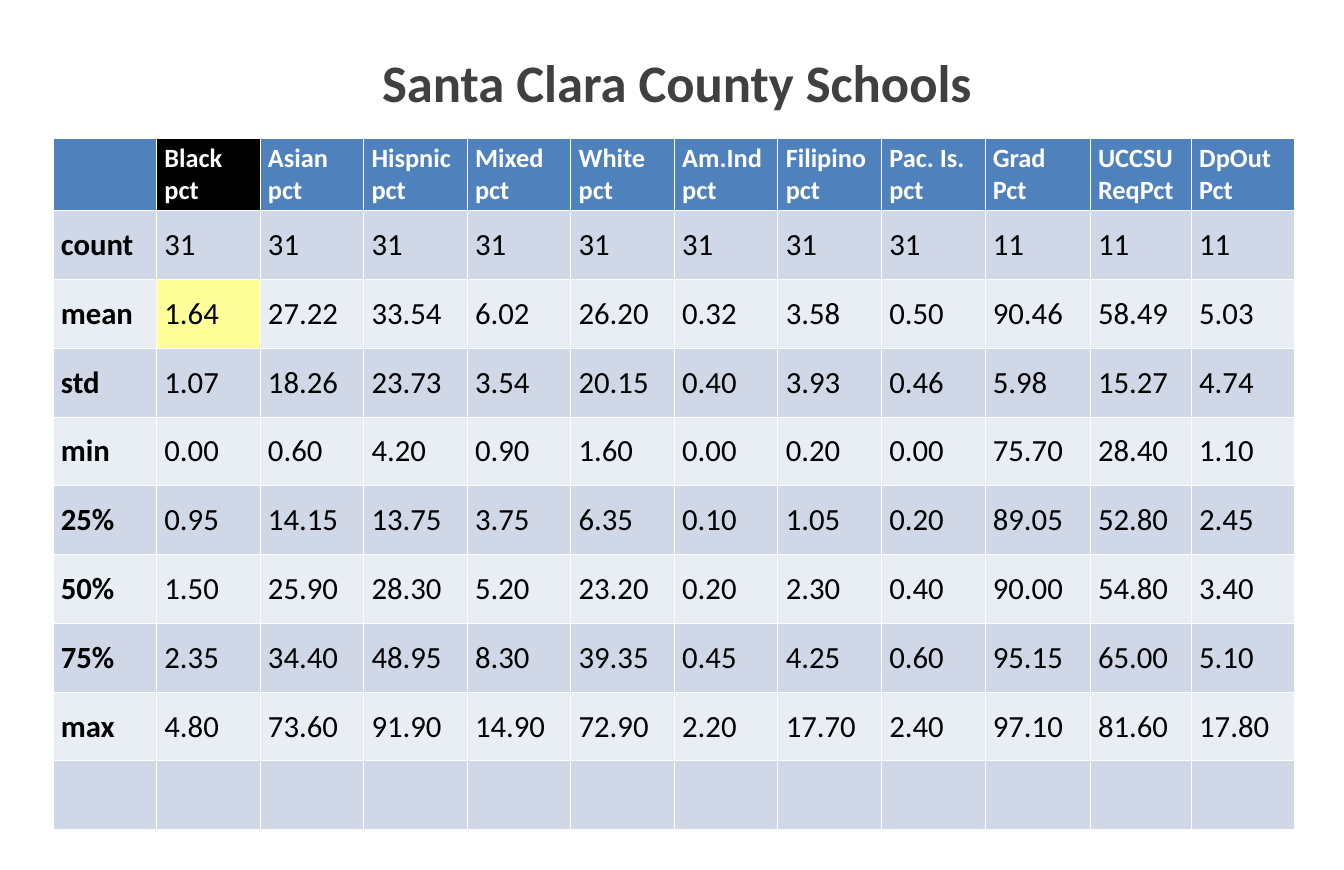
from dataclasses import dataclass

from pptx import Presentation
from pptx.dml.color import RGBColor
from pptx.enum.text import MSO_ANCHOR, PP_ALIGN
from pptx.util import Inches, Pt

MIDDLE = MSO_ANCHOR.MIDDLE
LEFT, CENTER = PP_ALIGN.LEFT, PP_ALIGN.CENTER

# Content
TITLE = "Santa Clara County Schools"
MEASURES = [
    ("Black", "pct"), ("Asian", "pct"), ("Hispnic", "pct"), ("Mixed", "pct"),
    ("White", "pct"), ("Am.Ind", "pct"), ("Filipino", "pct"), ("Pac. Is.", "pct"),
    ("Grad", "Pct"), ("UCCSU", "ReqPct"), ("DpOut", "Pct"),
]
STATISTICS = {
    "count": [31, 31, 31, 31, 31, 31, 31, 31, 11, 11, 11],
    "mean": [1.64, 27.22, 33.54, 6.02, 26.20, 0.32, 3.58, 0.50, 90.46, 58.49, 5.03],
    "std": [1.07, 18.26, 23.73, 3.54, 20.15, 0.40, 3.93, 0.46, 5.98, 15.27, 4.74],
    "min": [0.00, 0.60, 4.20, 0.90, 1.60, 0.00, 0.20, 0.00, 75.70, 28.40, 1.10],
    "25%": [0.95, 14.15, 13.75, 3.75, 6.35, 0.10, 1.05, 0.20, 89.05, 52.80, 2.45],
    "50%": [1.50, 25.90, 28.30, 5.20, 23.20, 0.20, 2.30, 0.40, 90.00, 54.80, 3.40],
    "75%": [2.35, 34.40, 48.95, 8.30, 39.35, 0.45, 4.25, 0.60, 95.15, 65.00, 5.10],
    "max": [4.80, 73.60, 91.90, 14.90, 72.90, 2.20, 17.70, 2.40, 97.10, 81.60, 17.80],
}

# Layout
TITLE_BOX = (4.71, 0.58, 7.71, 0.91)
TABLE_BOX = (0.67, 1.75, 15.67, 8.72)
COLUMN_WIDTH, ROW_HEIGHT = 1.31, 0.87
SPECIAL_WIDTHS = {9: 1.33, 10: 1.28}


@dataclass(frozen=True)
class Theme:
    font: str = "Calibri"
    title: str = "404040"
    header: str = "4F81BD"
    header_text: str = "FFFFFF"
    body_text: str = "000000"
    bands: tuple = ("D0D8E8", "E9EDF4")
    title_size: int = 48
    header_size: int = 24
    body_size: int = 28


THEME = Theme()
# Fills that stand out, by (row, column)
HIGHLIGHTS = {(0, 1): "000000", (2, 1): "FFFF99"}


def write(frame, lines, size, color, bold, align=LEFT):
    frame.text = "\n".join(lines)
    formats = {"name": THEME.font, "size": Pt(size), "bold": bold}
    for paragraph in frame.paragraphs:
        paragraph.alignment = align
        for run in paragraph.runs:
            for attribute, value in formats.items():
                setattr(run.font, attribute, value)
            run.font.color.rgb = RGBColor.from_string(color)


def show(value):
    return f"{value:.2f}" if isinstance(value, float) else str(value)


def add_title(slide):
    title = slide.shapes.title
    title.left, title.top, title.width, title.height = map(Inches, TITLE_BOX)
    frame = title.text_frame
    frame.word_wrap = False
    frame.vertical_anchor = MIDDLE
    write(frame, [TITLE], THEME.title_size, THEME.title, True, CENTER)


def add_statistics(slide):
    # Header, one row per statistic, and a blank closing row
    header = [(), *MEASURES]
    body = [[(name,), *((show(v),) for v in values)] for name, values in STATISTICS.items()]
    rows = [header, *body, [()] * len(header)]

    table = slide.shapes.add_table(len(rows), len(header), *map(Inches, TABLE_BOX)).table
    for c, column in enumerate(table.columns):
        column.width = Inches(SPECIAL_WIDTHS.get(c, COLUMN_WIDTH))

    for r, row in enumerate(rows):
        table.rows[r].height = Inches(ROW_HEIGHT)
        if r == 0:
            fill, size, color = THEME.header, THEME.header_size, THEME.header_text
        else:
            fill, size, color = THEME.bands[(r - 1) % 2], THEME.body_size, THEME.body_text
        for c, lines in enumerate(row):
            cell = table.cell(r, c)
            cell.vertical_anchor = MIDDLE
            cell.fill.solid()
            cell.fill.fore_color.rgb = RGBColor.from_string(HIGHLIGHTS.get((r, c), fill))
            if lines:
                write(cell.text_frame, lines, size, color, r == 0 or c == 0)


def main():
    deck = Presentation()
    deck.slide_width, deck.slide_height = Inches(17), Inches(11)
    slide = deck.slides.add_slide(deck.slide_layouts[5])
    add_title(slide)
    add_statistics(slide)
    deck.save("out.pptx")


if __name__ == "__main__":
    main()
